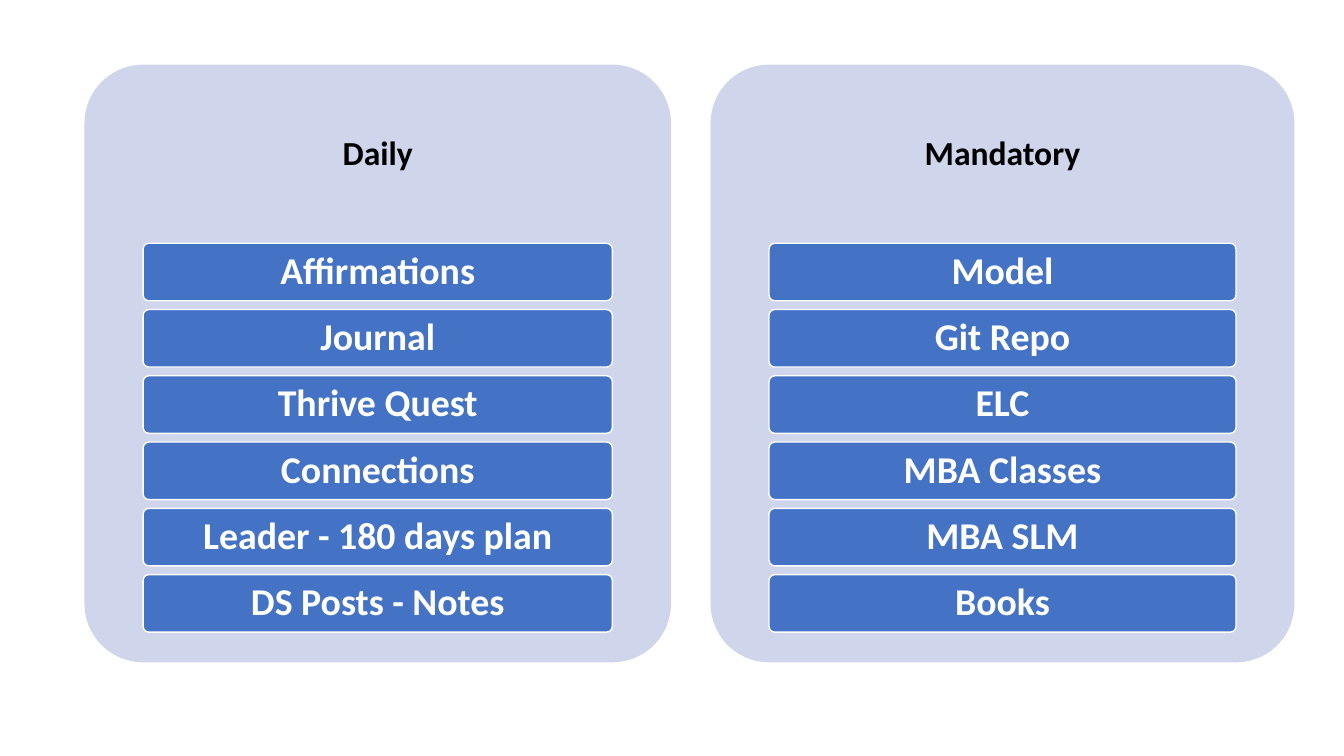
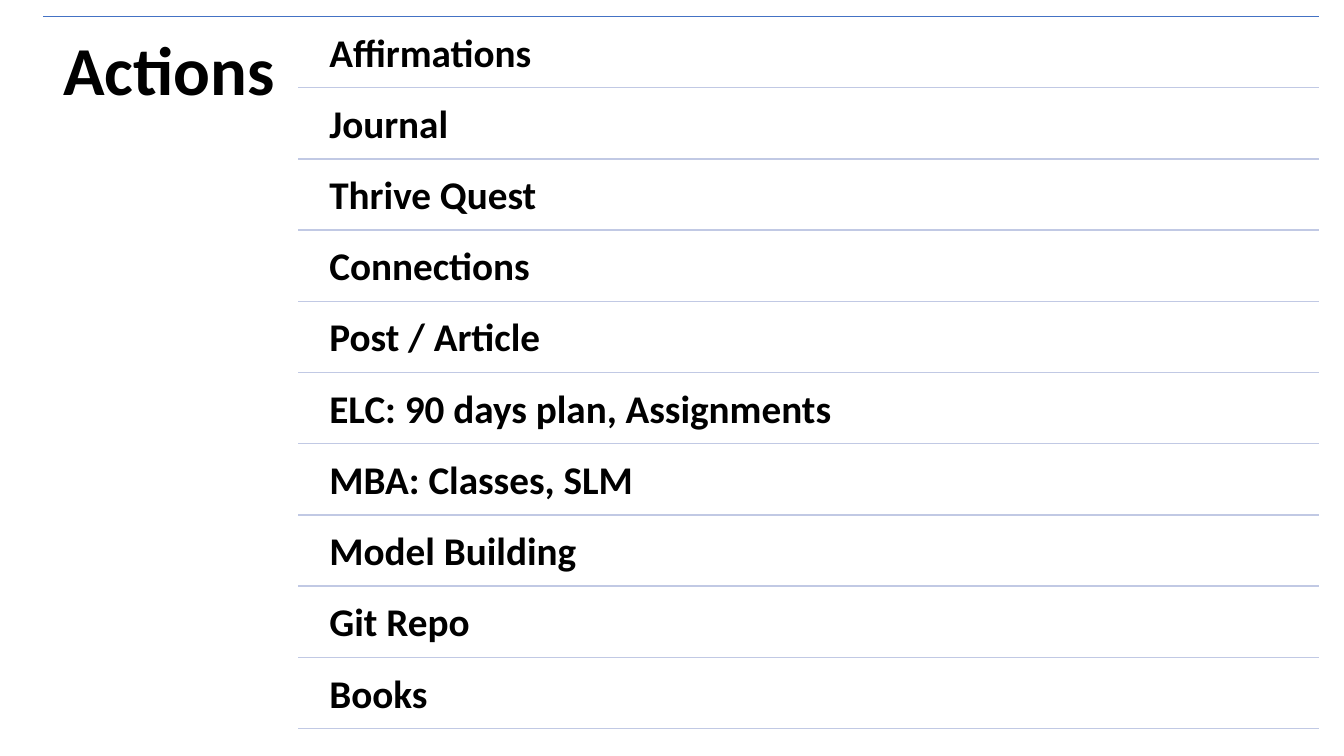
from dataclasses import dataclass

from lxml.etree import SubElement
from pptx import Presentation
from pptx.dml.color import RGBColor as Rgb
from pptx.enum.shapes import MSO_CONNECTOR as Link, MSO_SHAPE as Shape
from pptx.enum.text import MSO_ANCHOR as Anchor, MSO_AUTO_SIZE as Fit, PP_ALIGN as Align
from pptx.oxml.ns import qn
from pptx.util import Cm, Pt


@dataclass(frozen=True)
class Theme:
    font: str = "Calibri"
    ink: Rgb = Rgb(0x00, 0x00, 0x00)
    white: Rgb = Rgb(0xFF, 0xFF, 0xFF)
    blue: Rgb = Rgb(0x44, 0x72, 0xC4)
    pale: Rgb = Rgb(0xCF, 0xD5, 0xEA)
    rule: Rgb = Rgb(0xC1, 0xC9, 0xE4)
    title: int = 49
    head: int = 24
    bar: int = 27
    item: int = 28
    lead: float = 0.9


THEME = Theme()

# Heading, left edge and width in cm, bar labels
PANELS = [
    ("Daily", 2.13, 14.78,
     ["Affirmations", "Journal", "Thrive Quest", "Connections",
      "Leader - 180 days plan", "DS Posts - Notes"]),
    ("Mandatory", 17.91, 14.71,
     ["Model", "Git Repo", "ELC", "MBA Classes", "MBA SLM", "Books"]),
]
ACTIONS = ["Affirmations", "Journal", "Thrive Quest", "Connections",
           "Post / Article", "ELC: 90 days plan, Assignments",
           "MBA: Classes, SLM", "Model Building", "Git Repo", "Books"]


def apply(target, values):
    for name, value in values.items():
        setattr(target, name, value)


def write(shape, lines, size, color, para, frame, inset):
    """Fill a shape with one styled paragraph per line; inset is in cm."""
    text = shape.text_frame
    text.text = "\n".join(lines)
    sides = ("margin_left", "margin_top", "margin_right", "margin_bottom")
    apply(text, {side: Cm(inset) for side in sides})
    apply(text, {"word_wrap": True, "auto_size": Fit.NONE, **frame})
    for part in text.paragraphs:
        apply(part, {"line_spacing": THEME.lead, "space_before": Pt(0), **para})
        font = part.runs[0].font
        apply(font, {"name": THEME.font, "size": Pt(size), "bold": True})
        font.color.rgb = color


def place(shape, left, top, width, height):
    apply(shape, {"left": Cm(left), "top": Cm(top),
                  "width": Cm(width), "height": Cm(height)})


def add_box(slide, left, top, width, height, fill, edge=None):
    box = slide.shapes.add_shape(Shape.ROUNDED_RECTANGLE, Cm(left), Cm(top),
                                 Cm(width), Cm(height))
    box.adjustments[0] = 0.1
    box.shadow.inherit = False
    box.fill.solid()
    box.fill.fore_color.rgb = fill
    if edge is None:
        box.line.fill.background()
    else:
        box.line.color.rgb = edge
        box.line.width = Pt(1)
    return box


def add_rule(slide, left, right, top, color):
    rule = slide.shapes.add_connector(Link.STRAIGHT, Cm(left), Cm(top),
                                      Cm(right), Cm(top))
    rule.line.color.rgb = color
    rule.line.width = Pt(1)
    SubElement(rule._element.spPr, qn("a:effectLst"))


def drop_bullets(shape):
    for part in shape.text_frame.paragraphs:
        props = part._p.get_or_add_pPr()
        props.set("marL", "0")
        props.set("indent", "0")
        SubElement(props, qn("a:buNone"))


def add_panel(slide, head, left, width, labels):
    top, height, band = 1.63, 15.06, 4.52
    center = {"alignment": Align.CENTER}
    middle = {"vertical_anchor": Anchor.MIDDLE}
    panel = add_box(slide, left, top, width, height, THEME.pale)
    # The bottom margin keeps the heading inside the top band
    write(panel, [head], THEME.head, THEME.ink, center,
          {**middle, "margin_top": 0, "margin_bottom": Cm(height - band)}, 0.25)
    first, step, tall = 6.13, 1.67, 1.45
    for row, label in enumerate(labels):
        bar = add_box(slide, left + width * 0.1, first + row * step,
                      width * 0.8, tall, THEME.blue, THEME.white)
        write(bar, [label], THEME.bar, THEME.white, center, middle, 0.15)


def add_actions(slide, items):
    left, split, right = 1.09, 7.52, 33.25
    top, first, last = 0.41, 2.21, 18.36
    step = (last - first) / (len(items) - 1)
    upper = {"vertical_anchor": Anchor.TOP}

    title, body = slide.shapes.title, slide.placeholders[1]
    place(title, left, top, split - left, last - top)
    write(title, ["Actions"], THEME.title, THEME.ink,
          {"alignment": Align.LEFT}, upper, 0.5)

    indent, line = 0.48, Pt(30.8)
    place(body, split + indent, 0.5, right - split - indent, last - 0.5)
    write(body, items, THEME.item, THEME.ink,
          {"alignment": Align.LEFT, "line_spacing": line,
           "space_after": Cm(step) - line}, upper, 0.3)
    drop_bullets(body)

    add_rule(slide, left, right, top, THEME.blue)
    for row in range(len(items)):
        add_rule(slide, split, right, first + row * step, THEME.rule)


def main():
    deck = Presentation()
    apply(deck, {"slide_width": Cm(33.87), "slide_height": Cm(19.05)})
    layouts = deck.slide_layouts
    habits = deck.slides.add_slide(layouts.get_by_name("Blank"))
    for panel in PANELS:
        add_panel(habits, *panel)
    add_actions(deck.slides.add_slide(layouts.get_by_name("Title and Content")),
                ACTIONS)
    deck.save("out.pptx")


if __name__ == "__main__":
    main()
